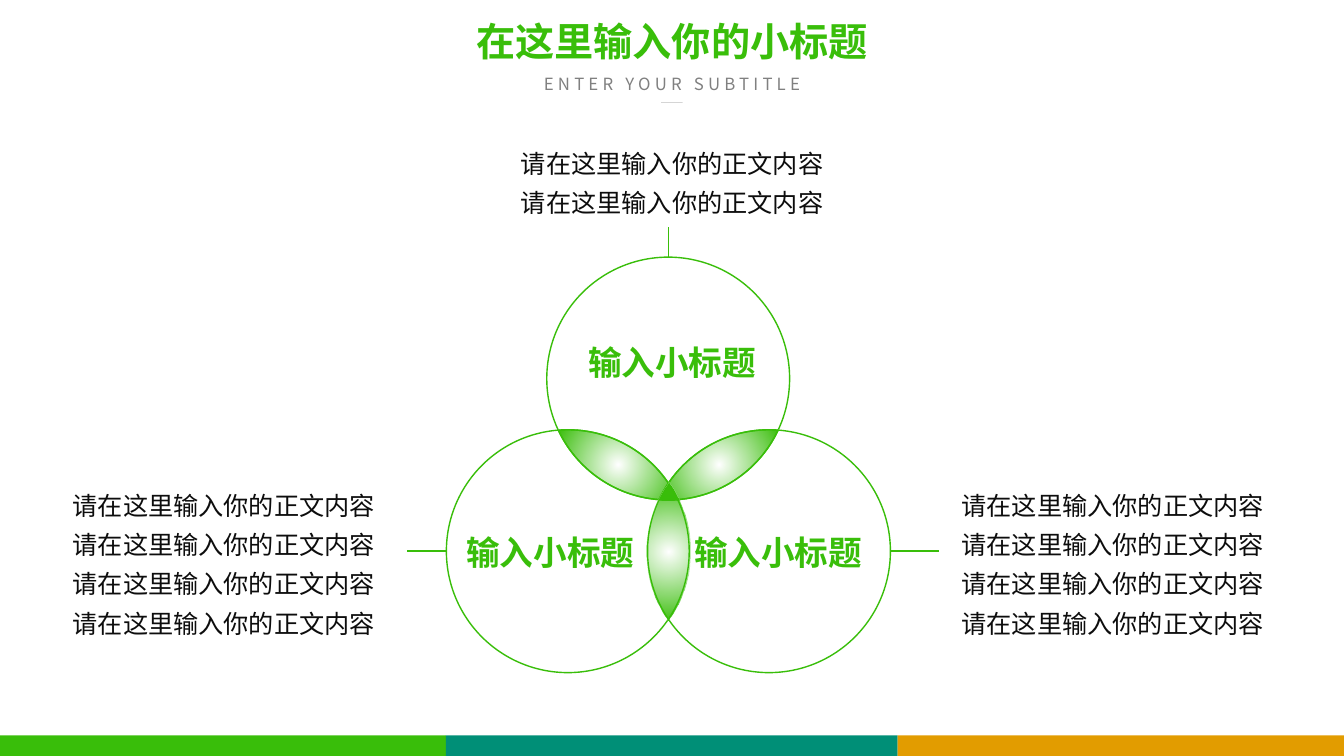
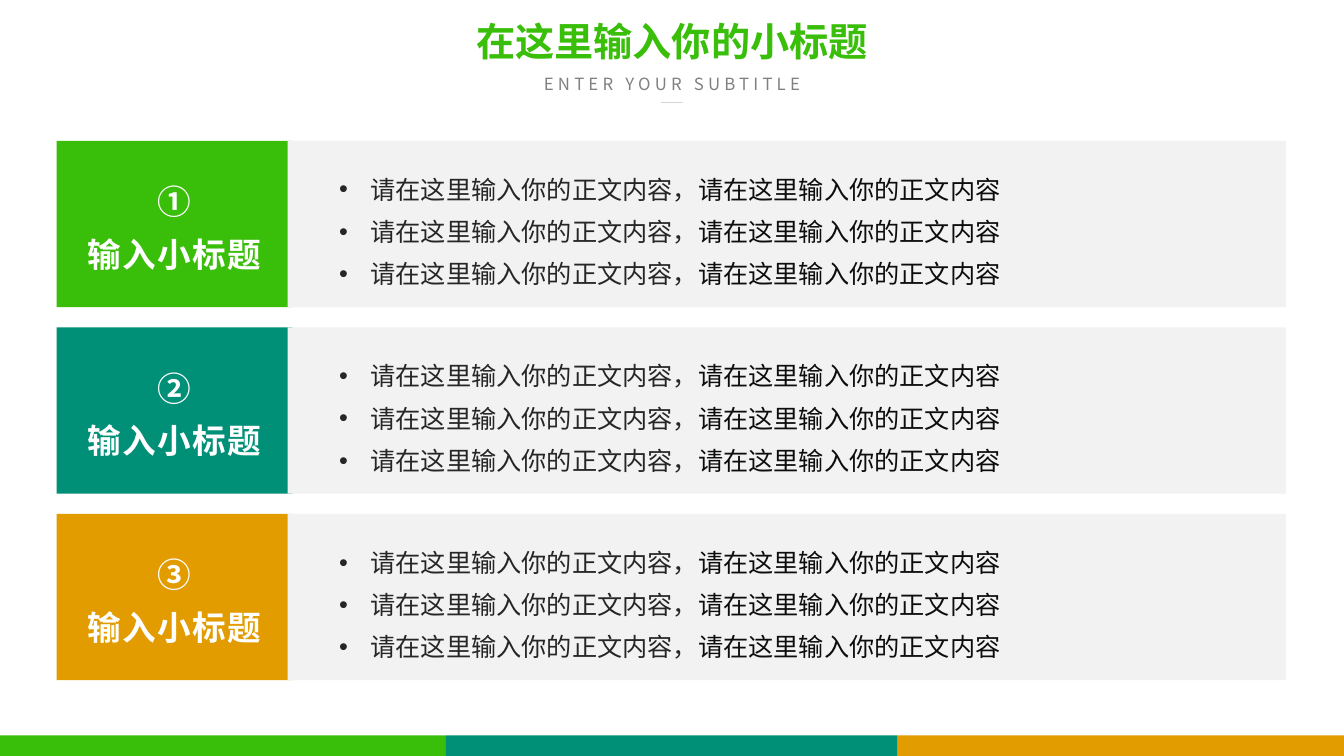
import math
from dataclasses import dataclass

import pptx
import pptx.dml.color
import pptx.enum.shapes
import pptx.enum.text
import pptx.oxml
import pptx.oxml.ns
import pptx.util

Cm = pptx.util.Cm
Pt = pptx.util.Pt
RGB = pptx.dml.color.RGBColor.from_string
Align = pptx.enum.text.PP_ALIGN
Kind = pptx.enum.shapes.MSO_SHAPE
qn = pptx.oxml.ns.qn


@dataclass(frozen=True)
class Theme:
    green: str = "39BE0A"
    teal: str = "008F77"
    amber: str = "E29C00"
    white: str = "FFFFFF"
    pale: str = "F2F2F2"
    grey: str = "808080"
    dark: str = "262626"
    ink: str = "0D0D0D"
    head: str = "Noto Sans CJK SC"
    body: str = "Karla"
    title: int = 28
    label: int = 24
    text: int = 18
    small: int = 12


@dataclass(frozen=True)
class Box:
    left: float
    top: float
    width: float
    height: float

    def sizes(self) -> list:
        return [Cm(v) for v in (self.left, self.top, self.width, self.height)]


@dataclass(frozen=True)
class Run:
    text: str
    font: str
    color: str
    size: int
    bold: bool = False
    gap: int = 0


@dataclass(frozen=True)
class Ring:
    x: float
    y: float
    label: Box


@dataclass(frozen=True)
class Note:
    box: Box
    lines: int
    align: Align
    start: tuple
    end: tuple


@dataclass(frozen=True)
class Row:
    mark: str
    color: str


THEME = Theme()
WIDTH, HEIGHT = 33.87, 19.05
RADIUS = 3.06
LABEL = "输入小标题"
BODY = "请在这里输入你的正文内容"

BANDS = [
    (Box(0, 18.53, 11.24, 0.52), THEME.green),
    (Box(11.24, 18.53, 11.38, 0.52), THEME.teal),
    (Box(22.62, 18.53, 11.25, 0.52), THEME.amber),
]
RINGS = [
    Ring(16.84, 9.54, Box(14.45, 8.49, 4.98, 1.27)),
    Ring(14.31, 13.89, Box(11.38, 13.28, 4.98, 1.27)),
    Ring(19.38, 13.89, Box(17.12, 13.28, 4.98, 1.27)),
]
NOTES = [
    Note(Box(7.82, 3.38, 18.24, 2.16), 2, Align.CENTER, (16.84, 6.48), (16.84, 5.73)),
    Note(Box(1.5, 12, 8.2, 4.17), 4, Align.RIGHT, (11.25, 13.88), (10.26, 13.88)),
    Note(Box(23.98, 12, 8.2, 4.17), 4, Align.LEFT, (22.43, 13.88), (23.66, 13.88)),
]
ROWS = [Row("①", THEME.green), Row("②", THEME.teal), Row("③", THEME.amber)]


def node(tag: str, **attrs: str):
    item = pptx.oxml.parse_xml(f"<a:{tag} {pptx.oxml.ns.nsdecls('a')}/>")
    for name, value in attrs.items():
        item.set(name, value)
    return item


def write(slide, box: Box, lines: list[list[Run]], *, align=Align.LEFT,
          space: float = 1.0, bullet: bool = False, middle: bool = False) -> None:
    """Add a text box with one paragraph for each list of runs."""
    frame = slide.shapes.add_textbox(*box.sizes()).text_frame
    frame.word_wrap = True
    frame.auto_size = pptx.enum.text.MSO_AUTO_SIZE.SHAPE_TO_FIT_TEXT
    anchor = pptx.enum.text.MSO_ANCHOR
    frame.vertical_anchor = anchor.MIDDLE if middle else anchor.TOP
    for index, runs in enumerate(lines):
        para = frame.add_paragraph() if index else frame.paragraphs[0]
        para.alignment = align
        para.line_spacing = space
        if bullet:
            props = para._p.get_or_add_pPr()
            props.set("marL", str(Cm(0.79)))
            props.set("indent", str(-Cm(0.79)))
            props.append(node("buFont", typeface="Arial"))
            props.append(node("buChar", char="•"))
        for run in runs:
            part = para.add_run()
            part.text = run.text
            font = part.font
            font.name, font.size, font.bold = run.font, Pt(run.size), run.bold
            font.color.rgb = RGB(run.color)
            props = part._r.get_or_add_rPr()
            props.set("lang", "zh-CN")
            if run.gap:
                props.set("spc", str(run.gap * 100))
            # Body metrics keep East Asian lines evenly tight
            props.find(qn("a:latin")).addnext(node("ea", typeface=THEME.body))


def shape(slide, kind: Kind, box: Box, *, fill: str = "", line: str = "") -> None:
    item = slide.shapes.add_shape(kind, *box.sizes())
    item.shadow.inherit = False
    if fill:
        item.fill.solid()
        item.fill.fore_color.rgb = RGB(fill)
    else:
        item.fill.background()
    if line:
        item.line.color.rgb = RGB(line)
        item.line.width = Pt(1)
    else:
        item.line.fill.background()


def rule(slide, start: tuple, end: tuple, color: str, *,
         width: float = 1, alpha: int = 100) -> None:
    ends = [Cm(v) for v in (*start, *end)]
    item = slide.shapes.add_connector(pptx.enum.shapes.MSO_CONNECTOR.STRAIGHT, *ends)
    item.line.color.rgb = RGB(color)
    item.line.width = Pt(width)
    props = item._element.spPr
    if alpha < 100:
        props.find(".//" + qn("a:srgbClr")).append(node("alpha", val=str(alpha * 1000)))
    props.append(node("effectLst"))


def glow():
    """Make a radial fill that is clear in its middle."""
    fill = node("gradFill", rotWithShape="1")
    stops = node("gsLst")
    for place, alpha in (("0", "0"), ("100000", "100000")):
        stop, color = node("gs", pos=place), node("srgbClr", val=THEME.green)
        color.append(node("alpha", val=alpha))
        stop.append(color)
        stops.append(stop)
    shade = node("path", path="circle")
    shade.append(node("fillToRect", l="50000", t="50000", r="50000", b="50000"))
    fill.extend([stops, shade])
    return fill


def curve(ring: Ring, first: float, last: float) -> list[tuple]:
    """Give the two handles and the end of an arc as one cubic."""
    reach = 4 / 3 * math.tan((last - first) / 4)
    spots = []
    for angle, pull in ((first, reach), (last, -reach), (last, 0)):
        across, down = math.cos(angle), math.sin(angle)
        spots.append((Cm(ring.x + RADIUS * (across - pull * down)),
                      Cm(ring.y + RADIUS * (down + pull * across))))
    return spots


def petal(slide, one: Ring, two: Ring, *, edge: bool = True):
    """Draw the overlap of two rings, each side split at its outermost point."""
    turn = math.atan2(two.y - one.y, two.x - one.x)
    half = math.acos(math.dist((one.x, one.y), (two.x, two.y)) / 2 / RADIUS)
    curves = []
    for ring, mid in ((one, turn), (two, turn + math.pi)):
        peak = round(mid / (math.pi / 2)) * math.pi / 2
        curves += [curve(ring, mid - half, peak), curve(ring, peak, mid + half)]
    ends = [spots[-1] for spots in curves]
    outline = slide.shapes.build_freeform(*ends[-1])
    outline.add_line_segments(ends, close=True)
    item = outline.convert_to_shape()
    props = item._element.spPr
    for line, spots in zip(list(props.iter(qn("a:lnTo"))), curves):
        bend = node("cubicBezTo")
        for x, y in spots:
            bend.append(node("pt", x=str(x - item.left), y=str(y - item.top)))
        line.getparent().replace(line, bend)
    item.shadow.inherit = False
    if edge:
        item.line.color.rgb = RGB(THEME.green)
        item.line.width = Pt(1)
    else:
        item.line.fill.background()
    props.find(qn("a:custGeom")).addnext(glow())
    return item


def frame(deck):
    """Add a slide with the shared title and bottom bands."""
    slide = deck.slides.add_slide(deck.slide_layouts[6])
    title = Run("在这里输入你的小标题", THEME.head, THEME.green, THEME.title, bold=True)
    write(slide, Box(10.94, 0.44, 11.99, 1.35), [[title]], align=Align.CENTER, space=0.9)
    under = Run("ENTER YOUR SUBTITLE", THEME.head, THEME.grey, THEME.small, gap=3)
    write(slide, Box(11.25, 1.73, 11.38, 0.76), [[under]], align=Align.CENTER, middle=True)
    rule(slide, (16.66, 2.58), (17.2, 2.58), THEME.grey, width=0.5, alpha=50)
    for box, color in BANDS:
        shape(slide, Kind.RECTANGLE, box, fill=color)
    return slide


def circles(deck) -> None:
    slide = frame(deck)
    for ring in RINGS:
        box = Box(ring.x - RADIUS, ring.y - RADIUS, 2 * RADIUS, 2 * RADIUS)
        shape(slide, Kind.OVAL, box, line=THEME.green)
    top, left, right = RINGS
    petal(slide, top, right)
    petal(slide, top, left)
    base = petal(slide, top, left, edge=False)
    base.left = Cm((left.x + right.x) / 2) - base.width // 2
    base.top = Cm(left.y) - base.height // 2
    base.rotation = 60
    label = Run(LABEL, THEME.head, THEME.green, THEME.label, bold=True)
    for ring in RINGS:
        write(slide, ring.label, [[label]], align=Align.CENTER)
    body = Run(BODY, THEME.body, THEME.ink, THEME.text)
    for note in NOTES:
        write(slide, note.box, [[body]] * note.lines, align=note.align, space=1.3)
        rule(slide, note.start, note.end, THEME.green)


def panels(deck) -> None:
    slide = frame(deck)
    line = [Run(BODY + "，", THEME.head, THEME.dark, THEME.text),
            Run(BODY, THEME.body, THEME.ink, THEME.text)]
    for index, row in enumerate(ROWS):
        top = 3.55 + 4.7 * index
        shape(slide, Kind.RECTANGLE, Box(1.43, top, 5.94, 4.19), fill=row.color)
        shape(slide, Kind.RECTANGLE, Box(7.25, top, 25.16, 4.19), fill=THEME.pale)
        label = [[Run(text, THEME.head, THEME.white, THEME.label, bold=True, gap=gap)]
                 for text, gap in ((row.mark, 3), (LABEL, 1))]
        write(slide, Box(1.66, top + 0.59, 5.46, 2.79), label,
              align=Align.CENTER, space=1.3)
        write(slide, Box(8.3, top + 0.41, 17.96, 3.38), [line] * 3,
              space=1.4, bullet=True)


def main() -> None:
    deck = pptx.Presentation()
    deck.slide_width, deck.slide_height = Cm(WIDTH), Cm(HEIGHT)
    circles(deck)
    panels(deck)
    deck.save("out.pptx")


if __name__ == "__main__":
    main()
